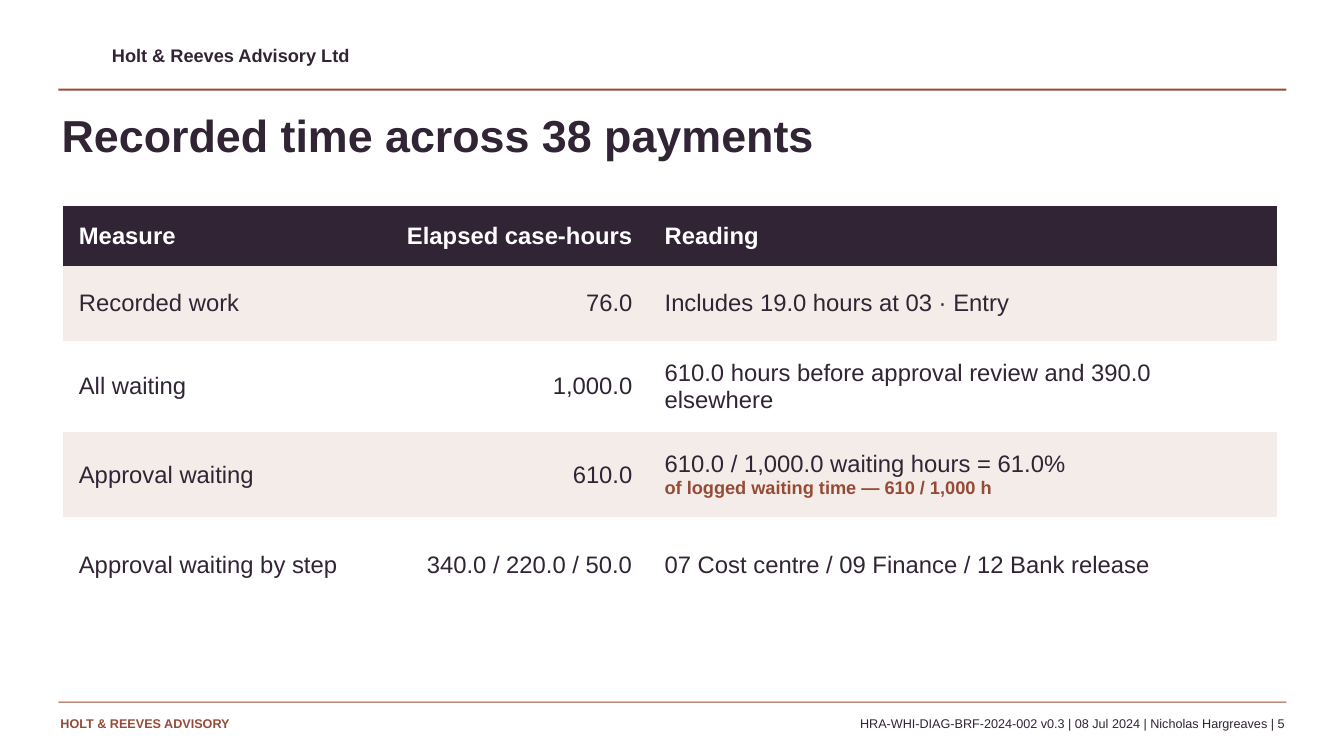
"""Build the recorded-time slide: brand header, title, measures table and footer."""
from pptx import Presentation
from pptx import util as u
from pptx.dml.color import RGBColor
from pptx.enum import shapes, text

TITLE = "Recorded time across 38 payments"
BRAND = "Holt & Reeves Advisory Ltd"
FOOTER = "HOLT & REEVES ADVISORY"
REFERENCE = "HRA-WHI-DIAG-BRF-2024-002 v0.3 | 08 Jul 2024 | Nicholas Hargreaves | 5"
MEASURES = [
    ("Measure", "Elapsed case-hours", "Reading"),
    ("Recorded work", "76.0", "Includes 19.0 hours at 03 · Entry"),
    ("All waiting", "1,000.0", "610.0 hours before approval review and 390.0 elsewhere"),
    ("Approval waiting", "610.0",
     "610.0 / 1,000.0 waiting hours = 61.0%\nof logged waiting time — 610 / 1,000 h"),
    ("Approval waiting by step", "340.0 / 220.0 / 50.0",
     "07 Cost centre / 09 Finance / 12 Bank release"),
]


class Theme:
    """Colours, font and type styles."""
    ink, rust, blush, white = (RGBColor.from_string(c) for c in
                               ("302435", "964B37", "F4ECE8", "FFFFFF"))
    font = "Arial"
    title = (32, True, ink)
    brand = (13, True, ink)
    footer = (9, True, rust)
    reference = (9, False, ink)
    header = (17, True, white)
    body = (17, False, ink)
    note = (13, True, rust)


LEFT, RIGHT = text.PP_ALIGN.LEFT, text.PP_ALIGN.RIGHT
WIDTH, HEIGHT = u.Inches(13.33), u.Inches(7.5)
RULE_LEFT, RULE_WIDTH, FOOTER_TOP, FOOTER_HEIGHT = 4.35, 91.37, 94.67, 3.33
TITLE_BOX = (4.58, 14.27, 90.02, 10.4)
TABLE_BOX = (4.67, 27.2, 90.32, 53.87)
COLUMNS = (23.56, 20.03, 46.74)
ROWS = (8, 9.87, 12.13, 11.2, 12.67)
RULES = [(11.73, 0.27), (92.8, 0.13)]
LABELS = [
    (BRAND, (8.33, 5.87, 45.01, 3.6), Theme.brand, LEFT),
    (FOOTER, (4.5, FOOTER_TOP, 25.51, FOOTER_HEIGHT), Theme.footer, LEFT),
    (REFERENCE, (30.91, FOOTER_TOP, 64.67, FOOTER_HEIGHT), Theme.reference, RIGHT),
]
NO_STYLE = "{2D5ABB26-0587-4C30-8999-92F81FD0307C}"


def across(share):
    """Turn a percentage of the slide width into a length."""
    return round(WIDTH * share / 100)


def down(share):
    """Turn a percentage of the slide height into a length."""
    return round(HEIGHT * share / 100)


def place(box):
    """Turn a box of percentages into lengths."""
    left, top, width, height = box
    return across(left), down(top), across(width), down(height)


def apply(target, **values):
    """Set each format value on the target."""
    for name, value in values.items():
        setattr(target, name, value)


def write(frame, content, styles, alignment=LEFT):
    """Fill a text frame, one style for each line."""
    frame.text = content
    for paragraph, (size, bold, color) in zip(frame.paragraphs, styles):
        paragraph.alignment = alignment
        apply(paragraph.font, name=Theme.font, size=u.Pt(size), bold=bold)
        paragraph.font.color.rgb = color


def write_box(shape, content, style, alignment):
    """Fill a shape with one line, without insets."""
    apply(shape.text_frame, margin_left=0, margin_top=0, margin_right=0, margin_bottom=0,
          word_wrap=True, auto_size=text.MSO_AUTO_SIZE.NONE,
          vertical_anchor=text.MSO_ANCHOR.TOP)
    write(shape.text_frame, content, [style], alignment)


def add_rule(slide, top, height):
    """Add a thin rust bar across the slide."""
    box = place((RULE_LEFT, top, RULE_WIDTH, height))
    rule = slide.shapes.add_shape(shapes.MSO_SHAPE.RECTANGLE, *box)
    rule.shadow.inherit = False
    rule.fill.solid()
    rule.fill.fore_color.rgb = Theme.rust
    rule.line.fill.background()


def add_measures(slide):
    """Add the table of measures."""
    frame = slide.shapes.add_table(len(ROWS), len(COLUMNS), *place(TABLE_BOX))
    table = frame.table
    apply(table, first_row=False, horz_banding=False)
    for style in frame._element.iter("{*}tableStyleId"):
        style.text = NO_STYLE
    for column, share in zip(table.columns, COLUMNS):
        column.width = across(share)
    for row, share in zip(table.rows, ROWS):
        row.height = down(share)
    for r, values in enumerate(MEASURES):
        color = Theme.ink if r == 0 else Theme.blush if r % 2 else Theme.white
        style = Theme.body if r else Theme.header
        for c, value in enumerate(values):
            cell = table.cell(r, c)
            apply(cell, margin_left=across(1.2), margin_right=across(1.2),
                  margin_top=down(0.67), margin_bottom=down(0.67),
                  vertical_anchor=text.MSO_ANCHOR.MIDDLE)
            cell.fill.solid()
            cell.fill.fore_color.rgb = color
            write(cell.text_frame, value, [style, Theme.note], RIGHT if c == 1 else LEFT)


def main():
    presentation = Presentation()
    apply(presentation, slide_width=WIDTH, slide_height=HEIGHT)
    slide = presentation.slides.add_slide(presentation.slide_layouts[5])
    for top, height in RULES:
        add_rule(slide, top, height)
    title = slide.shapes.title
    apply(title, **dict(zip(("left", "top", "width", "height"), place(TITLE_BOX))))
    write_box(title, TITLE, Theme.title, LEFT)
    add_measures(slide)
    for content, box, style, alignment in LABELS:
        write_box(slide.shapes.add_textbox(*place(box)), content, style, alignment)
    presentation.save("out.pptx")


if __name__ == "__main__":
    main()
